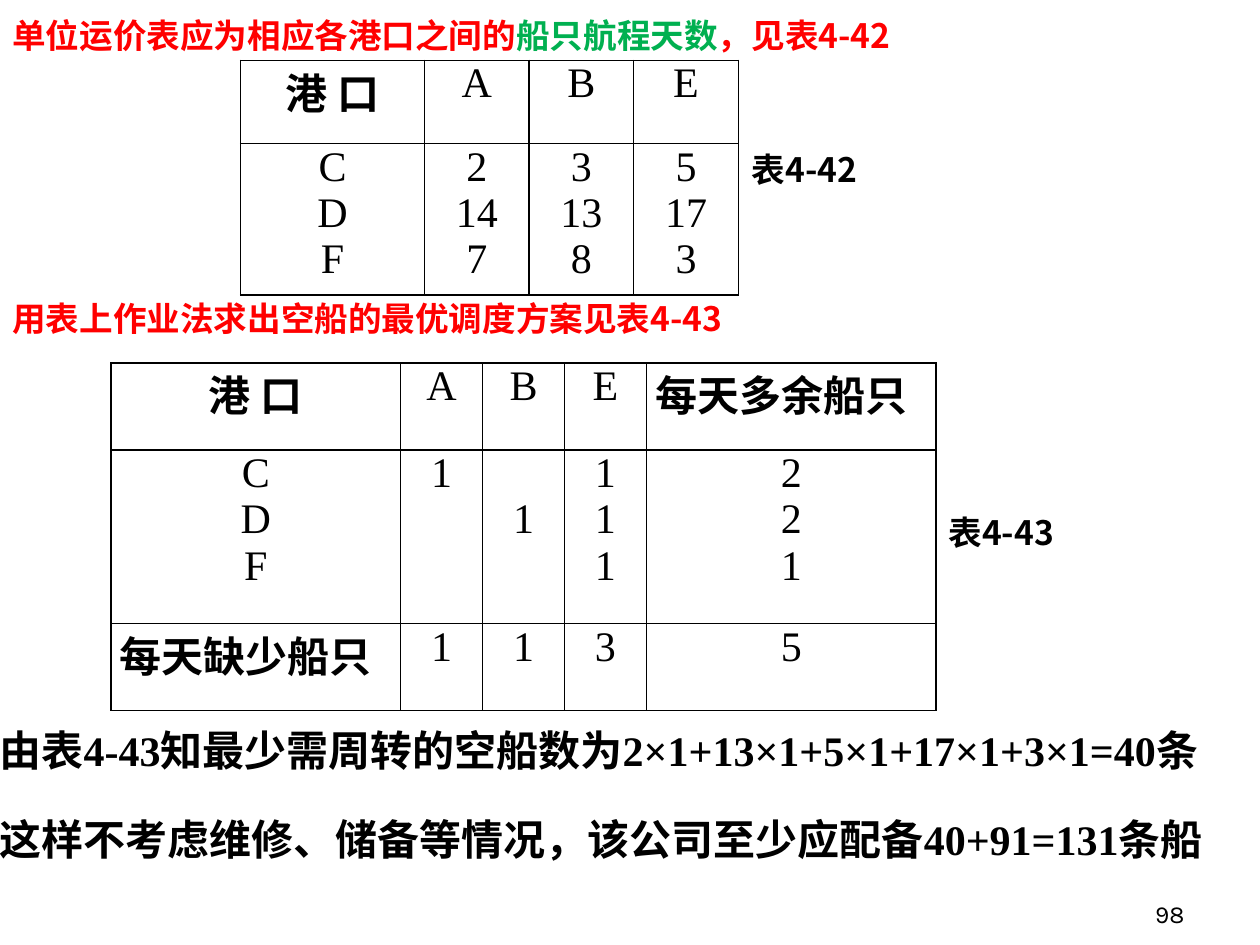
from dataclasses import dataclass

from lxml import etree
from pptx import Presentation
from pptx.dml.color import RGBColor
from pptx.enum.text import MSO_ANCHOR, MSO_AUTO_SIZE, PP_ALIGN
from pptx.oxml.ns import qn
from pptx.util import Inches, Pt

LEFT, CENTER, RIGHT = PP_ALIGN.LEFT, PP_ALIGN.CENTER, PP_ALIGN.RIGHT
TOP, BOTTOM = MSO_ANCHOR.TOP, MSO_ANCHOR.BOTTOM
GROW, FIXED = MSO_AUTO_SIZE.SHAPE_TO_FIT_TEXT, MSO_AUTO_SIZE.NONE


@dataclass(frozen=True)
class Theme:
    black: str = "000000"
    red: str = "FF0000"
    green: str = "00B050"
    cjk: str = "Noto Sans CJK SC"
    serif: str = "Times New Roman"
    number: str = "Karla"
    body_size: int = 24
    number_size: int = 14
    border: float = 1


class SlideBuilder:
    def __init__(self, slide, theme):
        self.slide = slide
        self.theme = theme

    def format_run(self, r, font, color=None, size=None, bold=False, small_caps=False):
        r.font.size = Pt(size or self.theme.body_size)
        r.font.bold = bold
        r.font.color.rgb = RGBColor.from_string(color or self.theme.black)
        r.font.name = font
        rPr = r.font._element
        etree.SubElement(rPr, qn("a:ea")).set("typeface", self.theme.cjk)
        if small_caps:
            rPr.set("cap", "small")

    def text_box(self, box, anchor=TOP, auto_size=FIXED, wrap=True):
        sp = self.slide.shapes.add_textbox(*map(Inches, box))
        tf = sp.text_frame
        tf.word_wrap = wrap
        tf.auto_size = auto_size
        tf.vertical_anchor = anchor
        return tf

    def heading(self, box, parts, **frame):
        """Bold small-caps line made of (text, colour) parts."""
        p = self.text_box(box, **frame).paragraphs[0]
        for text, color in parts:
            r = p.add_run()
            r.text = text
            self.format_run(r, self.theme.cjk, color, bold=True, small_caps=True)

    def conclusion(self, box, lines, gap):
        tf = self.text_box(box, auto_size=GROW)
        tf.text = "\n".join(lines)
        for i, p in enumerate(tf.paragraphs):
            if i:
                p.space_before = Pt(gap)
            self.format_run(p.runs[0], self.theme.serif, bold=True)

    def page_number(self, box, text):
        p = self.text_box(box, anchor=BOTTOM).paragraphs[0]
        p.text = text
        p.alignment = RIGHT
        self.format_run(p.runs[0], self.theme.number, size=self.theme.number_size)

    def border_cell(self, cell):
        tcPr = cell._tc.get_or_add_tcPr()
        for side in ("a:lnL", "a:lnR", "a:lnT", "a:lnB"):
            ln = etree.SubElement(tcPr, qn(side), w=str(Pt(self.theme.border)))
            fill = etree.SubElement(ln, qn("a:solidFill"))
            etree.SubElement(fill, qn("a:srgbClr"), val=self.theme.black)
        cell.fill.background()

    def table(self, left, top, widths, heights, rows, left_aligned=(), lowered=()):
        """Grid of cells; cells in lowered start one text line further down."""
        frame = self.slide.shapes.add_table(
            len(heights), len(widths), Inches(left), Inches(top),
            Inches(sum(widths)), Inches(sum(heights)))
        table = frame.table
        table.first_row = table.horz_banding = False
        for column, width in zip(table.columns, widths):
            column.width = Inches(width)
        for row, height in zip(table.rows, heights):
            row.height = Inches(height)
        for i, texts in enumerate(rows):
            for j, text in enumerate(texts):
                cell = table.cell(i, j)
                cell.margin_left = cell.margin_right = Inches(0.07)
                cell.margin_top = Inches(0.37 if (i, j) in lowered else 0)
                cell.margin_bottom = 0
                self.border_cell(cell)
                cell.text_frame.text = text
                is_label = not text.isascii()
                for p in cell.text_frame.paragraphs:
                    p.alignment = LEFT if text in left_aligned else CENTER
                    font = self.theme.cjk if is_label else self.theme.serif
                    self.format_run(p.runs[0], font, bold=is_label)


def main():
    prs = Presentation()
    prs.slide_width, prs.slide_height = Inches(10), Inches(7.5)
    theme = Theme()
    s = SlideBuilder(prs.slides.add_slide(prs.slide_layouts[6]), theme)

    s.heading((0, 2.25, 9.32, 0.49),
              [("用表上作业法求出空船的最优调度方案见表4-43", theme.red)])
    s.conclusion((-0.1, 5.7, 10.1, 2.22),
                 ["由表4-43知最少需周转的空船数为2×1+13×1+5×1+17×1+3×1=40条",
                  "这样不考虑维修、储备等情况，该公司至少应配备40+91=131条船"], gap=22)
    s.heading((7.43, 3.95, 1.31, 0.5), [("表4-43", theme.black)],
              auto_size=GROW, wrap=False)
    s.heading((0, 0, 10, 0.52),
              [("单位运价表应为相应各港口之间的", theme.red),
               ("船只航程天数", theme.green),
               ("，见表4-42", theme.red)])
    s.heading((5.87, 1.07, 2.13, 0.5), [("表4-42", theme.black)], auto_size=GROW)

    ports = "C\nD\nF"
    s.table(1.91, 0.48, [1.46] + [0.83] * 3, [0.66, 1.2],
            [["港 口", "A", "B", "E"],
             [ports, "2\n14\n7", "3\n13\n8", "5\n17\n3"]])
    surplus, shortage = "每天多余船只", "每天缺少船只"
    s.table(0.88, 2.88, [2.3] + [0.65] * 3 + [2.3], [0.69, 1.38, 0.69],
            [["港 口", "A", "B", "E", surplus],
             [ports, "1", "1", "1\n1\n1", "2\n2\n1"],
             [shortage, "1", "1", "3", "5"]],
            left_aligned=(surplus, shortage), lowered=[(1, 2)])

    s.page_number((7.42, 6.92, 2.08, 0.5), "98")
    prs.save("out.pptx")


if __name__ == "__main__":
    main()
